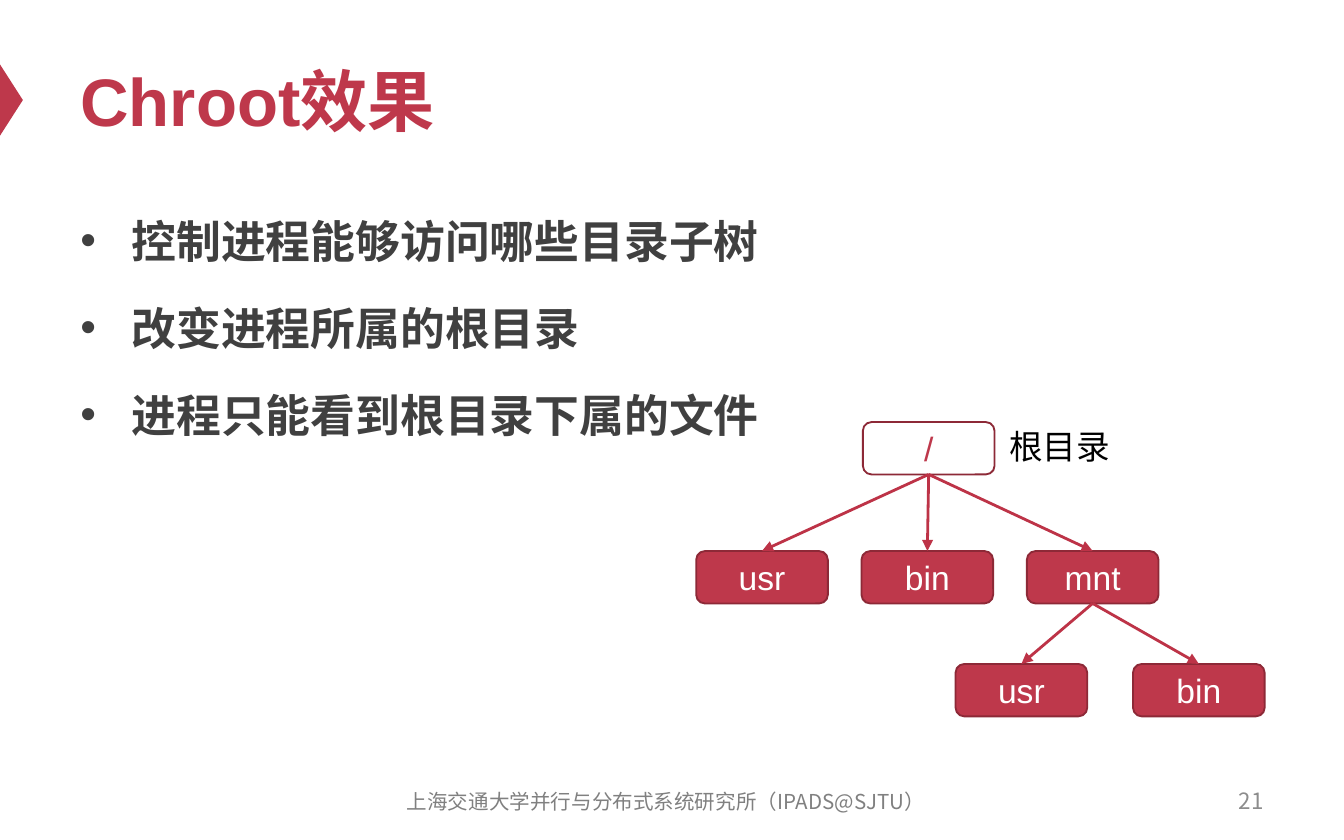
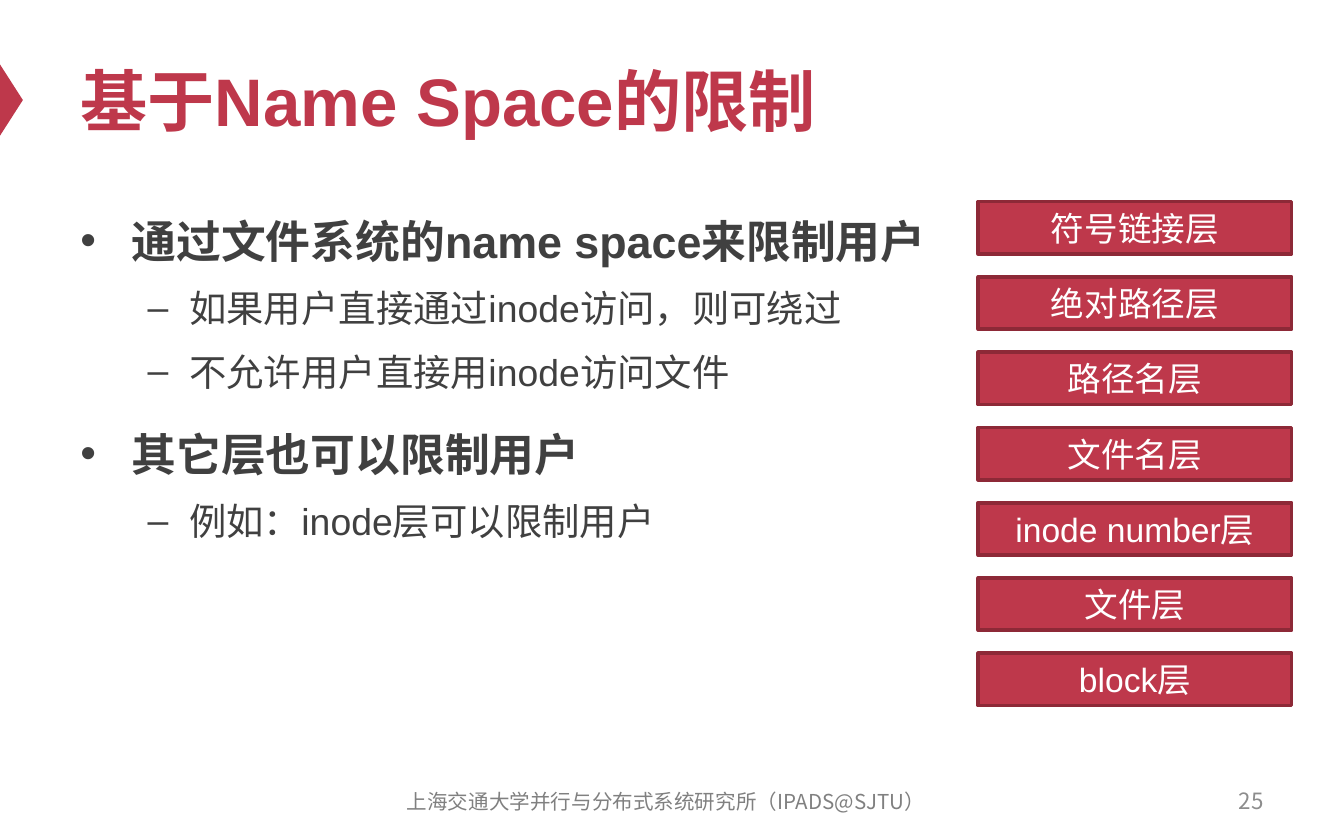
import lxml.etree
import pptx
import pptx.dml.color
import pptx.enum.shapes
import pptx.enum.text
import pptx.oxml.ns
import pptx.util
from dataclasses import dataclass

Inches = pptx.util.Inches
Pt = pptx.util.Pt
SHAPE = pptx.enum.shapes.MSO_SHAPE
ALIGN = pptx.enum.text.PP_ALIGN
ANCHOR = pptx.enum.text.MSO_ANCHOR
qn = pptx.oxml.ns.qn


@dataclass(frozen=True)
class Theme:
    red: str = "BE384B"
    dark_red: str = "8D2937"
    arrow: str = "BD3347"
    white: str = "FFFFFF"
    black: str = "000000"
    body: str = "404040"
    footer: str = "808080"
    number: str = "8C8C8C"
    latin: str = "Arial"
    chinese: str = "Noto Sans CJK SC"
    title_size: int = 36
    body_sizes: tuple = (24, 20)
    label_size: int = 18
    number_size: int = 12
    footer_size: int = 11


THEME = Theme()
FOOTER = "上海交通大学并行与分布式系统研究所（IPADS@SJTU）"

# Each bullet is (level, text).
CHROOT = {
    "title": "Chroot效果",
    "number": "21",
    "bullets": [
        (0, "控制进程能够访问哪些目录子树"),
        (0, "改变进程所属的根目录"),
        (0, "进程只能看到根目录下属的文件"),
    ],
}
NAME_SPACE = {
    "title": "基于Name Space的限制",
    "number": "25",
    "bullets": [
        (0, "通过文件系统的name space来限制用户"),
        (1, "如果用户直接通过inode访问，则可绕过"),
        (1, "不允许用户直接用inode访问文件"),
        (0, "其它层也可以限制用户"),
        (1, "例如：inode层可以限制用户"),
    ],
}
# Rows of the directory tree: top, first left, step, nodes as (path, label, parent).
DIRECTORY_ROWS = [
    (3.14, 6.42, 0, [("/", "/", None)]),
    (4.1, 5.18, 1.23, [("/usr", "usr", "/"), ("/bin", "bin", "/"), ("/mnt", "mnt", "/")]),
    (4.94, 7.11, 1.32, [("/mnt/usr", "usr", "/mnt"), ("/mnt/bin", "bin", "/mnt")]),
]
ROOT_LABEL = "根目录"
LAYERS = ["符号链接层", "绝对路径层", "路径名层", "文件名层",
          "inode number层", "文件层", "block层"]

NODE_SIZE = (0.98, 0.39)
LAYER_BOX = (7.28, 1.5, 2.33, 0.39)
LAYER_STEP = 0.56

# Paragraph format and bullet character for each body level.
LEVELS = [
    {"bullet": "•", "margin": 0.38, "hanging": 0.38, "before": 12, "bold": True},
    {"bullet": "–", "margin": 0.81, "hanging": 0.31, "before": 5, "bold": False},
]


def rgb(color):
    return pptx.dml.color.RGBColor.from_string(color)


def apply(target, values):
    for name, value in values.items():
        setattr(target, name, value)


def add_run(paragraph, text, size, color, bold=False, latin=THEME.latin):
    run = paragraph.add_run()
    run.text = text
    apply(run.font, {"size": Pt(size), "bold": bold, "name": latin})
    run.font.color.rgb = rgb(color)
    east_asian = lxml.etree.SubElement(run.font._element, qn("a:ea"))
    east_asian.set("typeface", THEME.chinese)


def add_text_box(slide, box, anchor=ANCHOR.TOP, wrap=True):
    frame = slide.shapes.add_textbox(*map(Inches, box)).text_frame
    apply(frame, {"word_wrap": wrap, "vertical_anchor": anchor})
    return frame


def add_line_of_text(slide, box, text, size, color, align=ALIGN.LEFT, **font):
    paragraph = add_text_box(slide, box, ANCHOR.MIDDLE).paragraphs[0]
    paragraph.alignment = align
    add_run(paragraph, text, size, color, **font)


def add_filled_shape(slide, kind, box, fill, line=None, line_width=1):
    shape = slide.shapes.add_shape(kind, *map(Inches, box))
    shape.shadow.inherit = False
    shape.fill.solid()
    shape.fill.fore_color.rgb = rgb(fill)
    if line:
        shape.line.color.rgb = rgb(line)
        shape.line.width = Pt(line_width)
    else:
        shape.line.fill.background()
    return shape


def add_labelled_box(slide, kind, box, label, line_width, fill=THEME.red, color=THEME.white):
    shape = add_filled_shape(slide, kind, box, fill, THEME.dark_red, line_width)
    shape.text_frame.vertical_anchor = ANCHOR.MIDDLE
    paragraph = shape.text_frame.paragraphs[0]
    paragraph.alignment = ALIGN.CENTER
    add_run(paragraph, label, THEME.label_size, color)
    return shape


def add_bullets(slide, bullets):
    frame = add_text_box(slide, (0.5, 1.46, 9, 4.12))
    for index, (level, text) in enumerate(bullets):
        style = LEVELS[level]
        paragraph = frame.add_paragraph() if index else frame.paragraphs[0]
        apply(paragraph, {"level": level, "line_spacing": 1.2,
                          "space_before": Pt(style["before"] if index else 0)})
        properties = paragraph._p.get_or_add_pPr()
        properties.set("marL", str(Inches(style["margin"])))
        properties.set("indent", str(-Inches(style["hanging"])))
        lxml.etree.SubElement(properties, qn("a:buFont")).set("typeface", THEME.latin)
        lxml.etree.SubElement(properties, qn("a:buChar")).set("char", style["bullet"])
        add_run(paragraph, text, THEME.body_sizes[level], THEME.body, style["bold"])


def add_arrow(slide, parent, child):
    """Join the bottom of the parent to the top of the child."""
    arrow = slide.shapes.add_connector(pptx.enum.shapes.MSO_CONNECTOR.STRAIGHT, 0, 0, 0, 0)
    arrow.begin_connect(parent, 2)
    arrow.end_connect(child, 0)
    arrow.line.color.rgb = rgb(THEME.arrow)
    arrow.line.width = Pt(1.5)
    line = arrow.line._get_or_add_ln()
    lxml.etree.SubElement(line, qn("a:tailEnd")).set("type", "triangle")
    lxml.etree.SubElement(arrow._element.spPr, qn("a:effectLst"))


def add_content_slide(presentation, content):
    """Add a slide with the shared marker, title, bullets and footer."""
    slide = presentation.slides.add_slide(presentation.slide_layouts[6])
    marker = add_filled_shape(slide, SHAPE.ISOSCELES_TRIANGLE,
                              (-0.18, 0.66, 0.53, 0.17), THEME.red)
    marker.rotation = 90
    add_line_of_text(slide, (0.5, 0.25, 9, 0.98), content["title"],
                     THEME.title_size, THEME.red, bold=True)
    add_bullets(slide, content["bullets"])
    add_line_of_text(slide, (7.17, 5.79, 2.33, 0.33), content["number"],
                     THEME.number_size, THEME.number, ALIGN.RIGHT, latin=THEME.chinese)
    add_line_of_text(slide, (2.79, 5.8, 4.33, 0.33), FOOTER,
                     THEME.footer_size, THEME.footer, ALIGN.CENTER, latin=THEME.chinese)
    return slide


def add_directory_tree(slide):
    nodes, links = {}, []
    for top, first_left, step, row in DIRECTORY_ROWS:
        for column, (path_name, label, parent) in enumerate(row):
            colors = {} if parent else {"fill": THEME.white, "color": THEME.red}
            box = (first_left + column * step, top, *NODE_SIZE)
            nodes[path_name] = add_labelled_box(
                slide, SHAPE.ROUNDED_RECTANGLE, box, label, 1, **colors)
            if parent:
                links.append((parent, path_name))
    for parent, child in links:
        add_arrow(slide, nodes[parent], nodes[child])
    frame = add_text_box(slide, (7.41, 3.12, 0.96, 0.4), wrap=False)
    frame.auto_size = pptx.enum.text.MSO_AUTO_SIZE.SHAPE_TO_FIT_TEXT
    add_run(frame.paragraphs[0], ROOT_LABEL, THEME.label_size, THEME.black)


def add_layer_stack(slide):
    left, top, width, height = LAYER_BOX
    for index, label in enumerate(LAYERS):
        box = (left, top + index * LAYER_STEP, width, height)
        add_labelled_box(slide, SHAPE.RECTANGLE, box, label, 2)


def main():
    presentation = pptx.Presentation()
    apply(presentation, {"slide_width": Inches(10), "slide_height": Inches(6.25)})
    add_directory_tree(add_content_slide(presentation, CHROOT))
    add_layer_stack(add_content_slide(presentation, NAME_SPACE))
    presentation.save("out.pptx")


if __name__ == "__main__":
    main()
